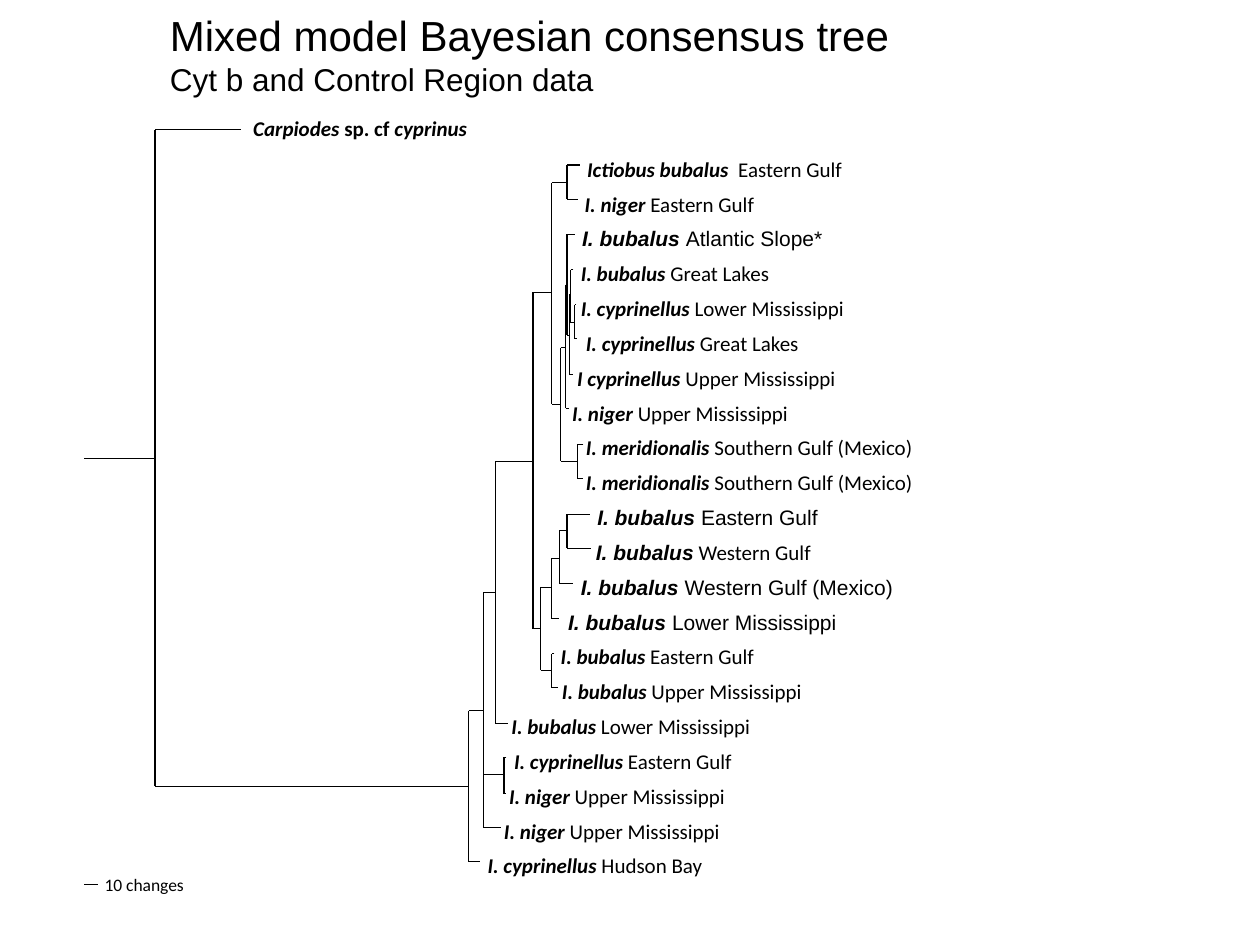
import pptx
import pptx.util
import pptx.dml.color
import pptx.enum.shapes
import pptx.enum.text
import lxml.etree

Inches = pptx.util.Inches
Pt = pptx.util.Pt
BLACK = pptx.dml.color.RGBColor(0, 0, 0)
SANS = "Arial"
BODY = "Calibri"

deck = pptx.Presentation()
deck.slide_width = Inches(10)
deck.slide_height = Inches(7.5)
slide = deck.slides.add_slide(deck.slide_layouts[6])


def branch(x1, y1, x2, y2):
    line = slide.shapes.add_connector(
        pptx.enum.shapes.MSO_CONNECTOR.STRAIGHT,
        Inches(x1), Inches(y1), Inches(x2), Inches(y2))
    line.line.color.rgb = BLACK
    line.line.width = Pt(0.62)
    space = line._element.nsmap["a"]
    lxml.etree.SubElement(line._element.spPr, "{%s}effectLst" % space)


def write(left, top, width, height, rows, pad=0):
    box = slide.shapes.add_textbox(Inches(left), Inches(top), Inches(width), Inches(height))
    frame = box.text_frame
    frame.word_wrap = False
    frame.auto_size = pptx.enum.text.MSO_AUTO_SIZE.SHAPE_TO_FIT_TEXT
    frame.margin_left = frame.margin_right = Inches(pad)
    frame.margin_top = frame.margin_bottom = Inches(pad / 2)
    for i, row in enumerate(rows):
        para = frame.add_paragraph() if i else frame.paragraphs[0]
        for text, face, size, bold, slant in row:
            run = para.add_run()
            run.text = text
            run.font.name = face
            run.font.size = Pt(size)
            run.font.bold = bold
            run.font.italic = slant
            run.font.color.rgb = BLACK


# stem x, upper y, lower y, upper tip x, lower tip x
forks = [
    (1.23, 1.03, 6.24, 1.91, 3.72),
    (3.72, 5.64, 6.84, 3.84, 3.81),
    (3.84, 4.7, 6.57, 3.93, 3.98),
    (3.93, 3.66, 5.74, 4.23, 4.03),
    (4.23, 2.32, 4.99, 4.38, 4.29),
    (4.38, 1.45, 3.21, 4.5, 4.45),
    (4.5, 1.31, 1.58, 4.6, 4.59),
    (4.45, 2.76, 3.66, 4.49, 4.58),
    (4.49, 2.26, 3.24, 4.5, 4.52),
    (4.5, 1.86, 2.66, 4.56, 4.52),
    (4.52, 2.34, 2.97, 4.53, 4.55),
    (4.53, 2.14, 2.56, 4.55, 4.56),
    (4.56, 2.42, 2.69, 4.57, 4.58),
    (4.58, 3.53, 3.8, 4.63, 4.63),
    (4.29, 4.66, 5.32, 4.38, 4.38),
    (4.38, 4.43, 4.91, 4.44, 4.44),
    (4.44, 4.21, 4.63, 4.5, 4.55),
    (4.5, 4.08, 4.35, 4.68, 4.69),
    (4.38, 5.19, 5.46, 4.4, 4.43),
    (4, 6.01, 6.3, 4.02, 4.02),
]
branch(0.67, 3.64, 1.23, 3.64)
for stem, high, low, tip, end in forks:
    branch(tip, high, stem, high)
    branch(stem, high, stem, low)
    branch(stem, low, end, low)
branch(4, 6.15, 3.84, 6.15)
branch(0.67, 7.02, 0.78, 7.02)

write(2.01, 0.92, 1.97, 0.2, [[
    ("Carpiodes", BODY, 12, True, True),
    (" sp. cf ", BODY, 12, True, False),
    ("cyprinus", BODY, 12, True, True)]])

leaves = [
    (4.66, 2.36, "Ictiobus bubalus ", " Eastern Gulf", BODY, BODY),
    (4.64, 1.57, "I. niger ", "Eastern Gulf", BODY, BODY),
    (4.62, 1.91, "I. bubalus ", "Atlantic Slope*", SANS, SANS),
    (4.61, 1.75, "I. bubalus ", "Great Lakes", BODY, BODY),
    (4.61, 2.43, "I. cyprinellus ", "Lower Mississippi", BODY, BODY),
    (4.65, 1.98, "I. cyprinellus ", "Great Lakes", BODY, BODY),
    (4.58, 2.39, "I cyprinellus ", "Upper Mississippi", BODY, BODY),
    (4.54, 1.99, "I. niger ", "Upper Mississippi", BODY, BODY),
    (4.65, 2.98, "I. meridionalis", " Southern Gulf (Mexico)", BODY, BODY),
    (4.65, 2.98, "I. meridionalis ", "Southern Gulf (Mexico)", BODY, BODY),
    (4.74, 1.75, "I. bubalus ", "Eastern Gulf", SANS, SANS),
    (4.73, 1.84, "I. bubalus", " Western Gulf", SANS, BODY),
    (4.61, 2.48, "I. bubalus ", "Western Gulf (Mexico)", SANS, SANS),
    (4.51, 2.13, "I. bubalus", " Lower Mississippi", SANS, SANS),
    (4.45, 1.79, "I. bubalus", " Eastern Gulf", BODY, BODY),
    (4.46, 2.21, "I. bubalus", " Upper Mississippi", BODY, BODY),
    (4.06, 2.2, "I. bubalus", " Lower Mississippi", BODY, BODY),
    (4.08, 2.02, "I. cyprinellus ", "Eastern Gulf", BODY, BODY),
    (4.04, 1.99, "I. niger", " Upper Mississippi", BODY, BODY),
    (4, 2.03, "I. niger ", "Upper Mississippi", BODY, BODY),
    (3.87, 2, "I. cyprinellus ", "Hudson Bay", BODY, BODY),
]
first, last = 1.24, 6.77
step = (last - first) / (len(leaves) - 1)
for i, (left, width, name, place, face, font) in enumerate(leaves):
    write(left, first + i * step, width, 0.2, [[
        (name, face, 12, True, True),
        (place, font, 12, False, False)]])

write(0.83, 6.94, 0.74, 0.17, [[("10 changes", BODY, 10, False, False)]])
write(1.25, 0.03, 6, 0.8, [
    [("Mixed model Bayesian consensus tree", SANS, 24, False, False)],
    [("Cyt b and Control Region data", SANS, 18, False, False)]], 0.1)

deck.save("out.pptx")
